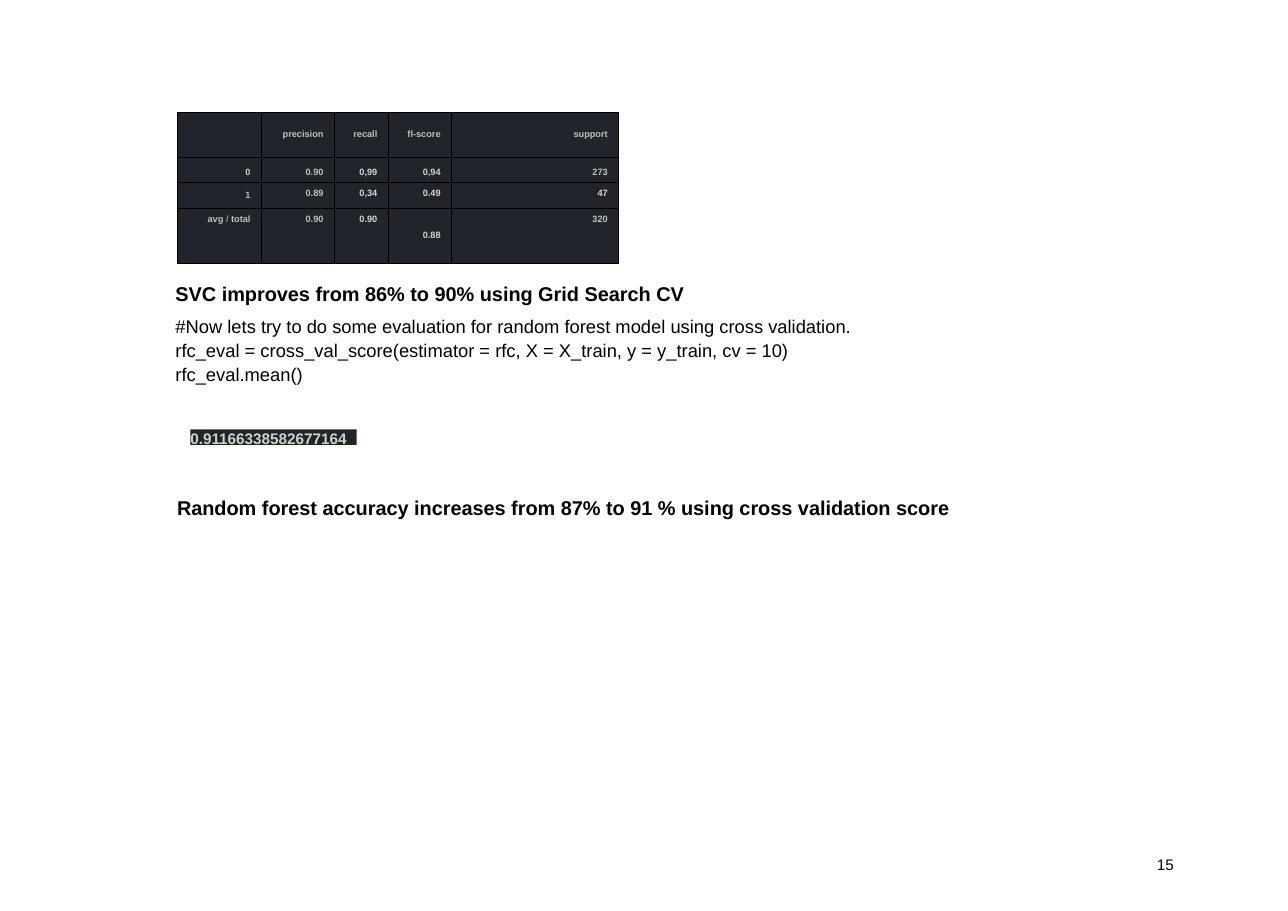
"""Build the model evaluation slide with its score table and accuracy findings."""
from lxml import etree
from pptx import Presentation
from pptx.dml import color
from pptx.enum import shapes, text
from pptx.oxml import ns
from pptx.util import Pt

FONT = "Arial"
COLORS = {
    "ink": "000000",
    "panel": "21242B",
    "gray": "BBC2B9",
    "slash": "989B9E",
    "sage": "CDD6C3",
    "mint": "CDDBD5",
    "sand": "DCD7B9",
}
TOP, MIDDLE, BOTTOM = (
    text.MSO_ANCHOR.TOP, text.MSO_ANCHOR.MIDDLE, text.MSO_ANCHOR.BOTTOM)
COLUMNS = [55, 47.7, 35.2, 41.4, 109.2]
ROWS = [29.4, 16.6, 16.8, 36]
SCORES = [
    [("", "gray", MIDDLE), ("precision", "gray", MIDDLE),
     ("recall", "gray", MIDDLE), ("fl-score", "gray", MIDDLE),
     ("support", "gray", MIDDLE)],
    [("0", "sage", BOTTOM), ("0.90", "gray", BOTTOM), ("0,99", "mint", BOTTOM),
     ("0,94", "sage", BOTTOM), ("273", "gray", BOTTOM)],
    [("1", "gray", MIDDLE), ("0.89", "gray", TOP), ("0,34", "mint", TOP),
     ("0.49", "sand", TOP), ("47", "sand", TOP)],
    [("avg / total", "gray", TOP), ("0.90", "gray", TOP), ("0.90", "mint", TOP),
     ("0.88", "sage", MIDDLE), ("320", "gray", TOP)],
]


def rgb(name):
    return color.RGBColor.from_string(COLORS[name])


def style(font, size, name, bold=False):
    font.name, font.size, font.bold = FONT, Pt(size), bold
    font.color.rgb = rgb(name)


def add_border(cell):
    props = cell._tc.get_or_add_tcPr()
    for i, side in enumerate(("lnL", "lnR", "lnT", "lnB")):
        line = etree.Element(ns.qn(f"a:{side}"), w=str(Pt(0.45)))
        fill = etree.SubElement(line, ns.qn("a:solidFill"))
        etree.SubElement(fill, ns.qn("a:srgbClr"), val=COLORS["ink"])
        props.insert(i, line)


def fill_cell(cell, content, name, anchor):
    cell.fill.solid()
    cell.fill.fore_color.rgb = rgb("panel")
    cell.vertical_anchor = anchor
    add_border(cell)
    p = cell.text_frame.paragraphs[0]
    p.alignment = text.PP_ALIGN.RIGHT
    style(p.font, 6, name, True)
    for part in content.partition("/ "):
        if part:
            r = p.add_run()
            r.text = part
            style(r.font, 6, "slash" if part == "/ " else name, True)


def add_scores(slide, left, top):
    table = slide.shapes.add_table(
        len(ROWS), len(COLUMNS), Pt(left), Pt(top),
        Pt(sum(COLUMNS)), Pt(sum(ROWS))).table
    table.first_row = table.horz_banding = False
    for column, width in zip(table.columns, COLUMNS):
        column.width = Pt(width)
    for row, height, scores in zip(table.rows, ROWS, SCORES):
        row.height = Pt(height)
        for cell, score in zip(row.cells, scores):
            fill_cell(cell, *score)


def write(sp, content, size, name="ink", bold=False):
    tf = sp.text_frame
    tf.word_wrap = True
    tf.vertical_anchor = TOP
    tf.margin_left = tf.margin_right = tf.margin_top = tf.margin_bottom = 0
    p = tf.paragraphs[0]
    if p.text:
        p = tf.add_paragraph()
    p.text = content
    p.alignment = text.PP_ALIGN.LEFT
    style(p.font, size, name, bold)
    return p


def add_text(slide, left, top, width, height, content, size, bold=False):
    sp = slide.shapes.add_textbox(Pt(left), Pt(top), Pt(width), Pt(height))
    return sp, write(sp, content, size, bold=bold)


def add_result(slide, left, top, width, height, content):
    sp = slide.shapes.add_shape(
        shapes.MSO_SHAPE.RECTANGLE, Pt(left), Pt(top), Pt(width), Pt(height))
    sp.shadow.inherit = False
    sp.fill.solid()
    sp.fill.fore_color.rgb = rgb("panel")
    sp.line.fill.background()
    write(sp, content, 10, "sage", True)


def main():
    prs = Presentation()
    prs.slide_width, prs.slide_height = Pt(841.68), Pt(595.44)
    slide = prs.slides.add_slide(prs.slide_layouts[6])
    add_scores(slide, 115.9, 73.4)
    sp, heading = add_text(
        slide, 114.7, 184.4, 443.5, 64.8,
        "SVC improves from 86% to 90% using Grid Search CV", 13, True)
    heading.space_after = Pt(4.2)
    code = write(
        sp, "#Now lets try to do some evaluation for random forest model using "
        "cross validation. rfc_eval = cross_val_score(estimator = rfc, "
        "X = X_train, y = y_train, cv = 10) rfc_eval.mean()", 12)
    code.line_spacing = Pt(15.9)
    add_result(slide, 124.4, 280.6, 108.6, 10.2, "0.91166338582677164")
    add_text(
        slide, 115.7, 323.6, 520, 15.1,
        "Random forest accuracy increases from 87% to 91 % using "
        "cross validation score", 13, True)
    add_text(slide, 756, 558.9, 13.7, 10.8, "15", 10)
    prs.save("out.pptx")


if __name__ == "__main__":
    main()
